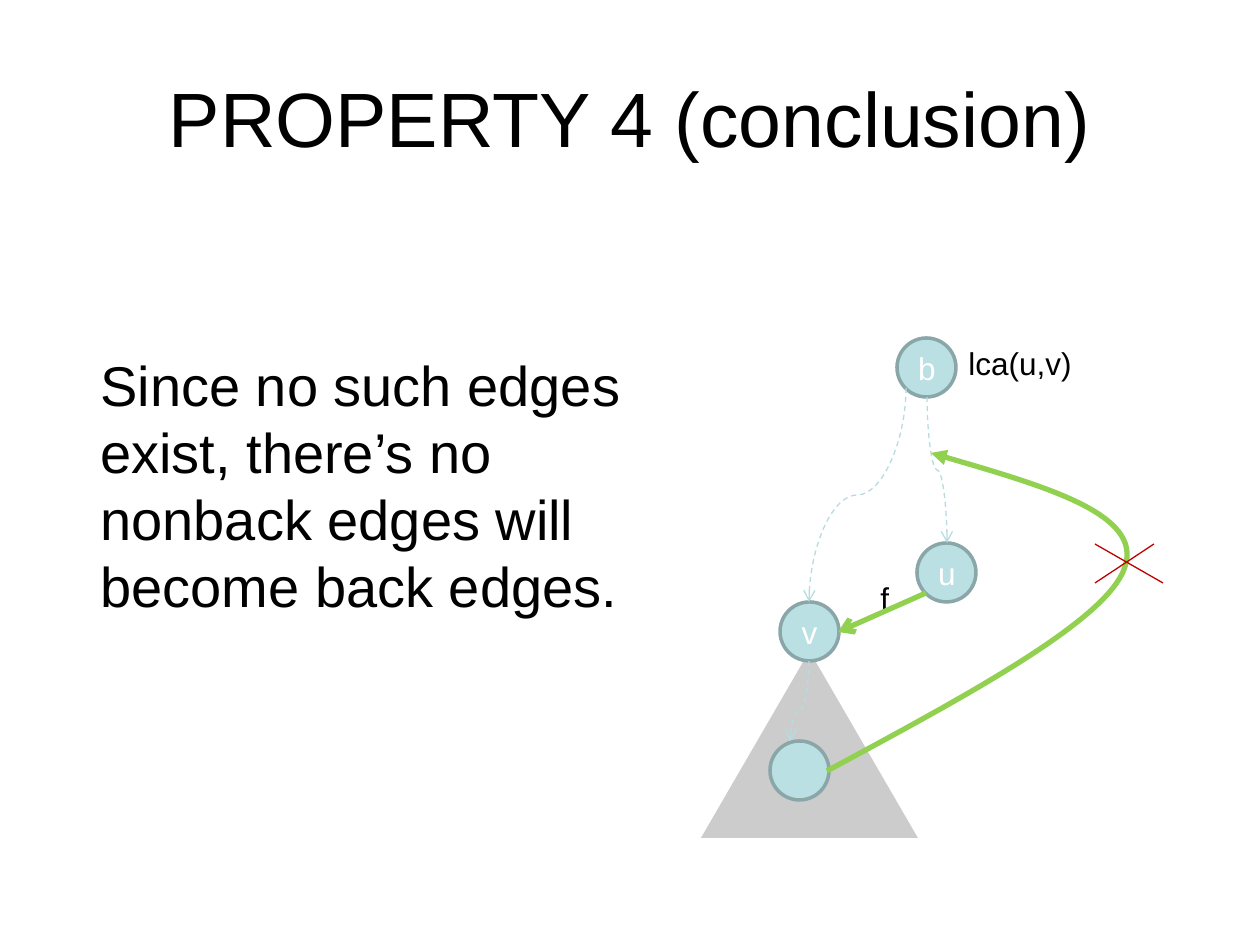
from lxml import etree
from pptx import Presentation
from pptx.dml.color import RGBColor
from pptx.enum.dml import MSO_LINE
from pptx.enum.shapes import MSO_CONNECTOR, MSO_SHAPE
from pptx.enum.text import MSO_ANCHOR, PP_ALIGN
from pptx.oxml.ns import qn
from pptx.util import Pt

PIXEL = 914400 // 126
STRAIGHT, CURVE = MSO_CONNECTOR.STRAIGHT, MSO_CONNECTOR.CURVE
TRIANGLE, OVAL = MSO_SHAPE.ISOSCELES_TRIANGLE, MSO_SHAPE.OVAL
DASH = MSO_LINE.DASH
MIDDLE = MSO_ANCHOR.MIDDLE
LEFT, CENTER = PP_ALIGN.LEFT, PP_ALIGN.CENTER
COLORS = {
    "text": "000000", "label": "FFFFFF", "subtree": "CCCCCC", "node": "BBE0E3",
    "outline": "8AA6A8", "path": "B6DCDF", "edge": "92D050", "cross": "C00000",
}


def write(shape, text, size, color="text", align=LEFT):
    """Put one run of Arial text into a shape."""
    shape.text_frame.word_wrap = True
    paragraph = shape.text_frame.paragraphs[0]
    paragraph.alignment = align
    run = paragraph.add_run()
    run.text = text
    run.font.name = "Arial"
    run.font.size = Pt(size)
    run.font.color.rgb = RGBColor.from_string(COLORS[color])


def style_line(shape, color, width, arrow=None):
    """Colour a line, drop its shadow and add an arrowhead at its end."""
    shape.line.color.rgb = RGBColor.from_string(COLORS[color])
    shape.line.width = Pt(width)
    properties = shape.line._get_or_add_ln().getparent()
    if properties.find(qn("a:effectLst")) is None:
        etree.SubElement(properties, qn("a:effectLst"))
    if arrow:
        etree.SubElement(shape.line._get_or_add_ln(), qn("a:tailEnd"), type=arrow)


presentation = Presentation()
presentation.slide_width = 1260 * PIXEL
presentation.slide_height = 945 * PIXEL
slide = presentation.slides.add_slide(presentation.slide_layouts[5])
shapes = slide.shapes

# Title and text
title = shapes.title
title.left, title.top, title.width, title.height = [
    value * PIXEL for value in (63, 38, 1134, 157)]
title.text_frame.vertical_anchor = MIDDLE
write(title, "PROPERTY 4 (conclusion)", 44, align=CENTER)

for text, size, *box in (
    ("Since no such edges exist, there’s no nonback edges will become back edges.",
     32, 88, 344, 640, 217),
    ("f", 18, 868, 573, 59, 50),
    ("lca(u,v)", 18, 956, 338, 158, 50),
):
    write(shapes.add_textbox(*[value * PIXEL for value in box]), text, size)

# Subtree below v
subtree = shapes.add_shape(TRIANGLE, *[value * PIXEL for value in (701, 651, 217, 187)])
subtree.shadow.inherit = False
subtree.fill.solid()
subtree.fill.fore_color.rgb = RGBColor.from_string(COLORS["subtree"])
subtree.line.fill.background()

# Nodes
NODE_SIZE = 59
for label, left, top in (("u", 917, 543), ("v", 780, 602), ("b", 897, 338), ("", 770, 741)):
    node = shapes.add_shape(
        OVAL, left * PIXEL, top * PIXEL, NODE_SIZE * PIXEL, NODE_SIZE * PIXEL)
    node.shadow.inherit = False
    node.fill.solid()
    node.fill.fore_color.rgb = RGBColor.from_string(COLORS["node"])
    style_line(node, "outline", 2)
    if label:
        node.text_frame.vertical_anchor = MIDDLE
        write(node, label, 18, "label", CENTER)

# Tree paths: horizontal curves turned upright about their centres
for x1, y1, x2, y2, bend in (
    (927, 397, 947, 543, 50000),
    (906, 388, 809, 602, 50000),
    (809, 661, 790, 741, 62200),
):
    middle_x, middle_y = (x1 + x2) / 2, (y1 + y2) / 2
    length, drift = y2 - y1, abs(x2 - x1)
    turn, side = (270, -1) if x2 > x1 else (90, 1)
    tree_path = shapes.add_connector(CURVE, *[int(value * PIXEL) for value in (
        middle_x - side * length / 2, middle_y - drift / 2,
        middle_x + side * length / 2, middle_y + drift / 2)])
    properties = tree_path._element.spPr
    properties.find(qn("a:xfrm")).set("rot", str(turn * 60000))
    guides = properties.find(qn("a:prstGeom")).find(qn("a:avLst"))
    etree.SubElement(guides, qn("a:gd"), name="adj1", fmla=f"val {bend}")
    tree_path.line.dash_style = DASH
    style_line(tree_path, "path", 0.75, "arrow")

# Edge f from u to v
edge = shapes.add_connector(STRAIGHT, *[value * PIXEL for value in (926, 593, 838, 632)])
style_line(edge, "edge", 3, "arrow")

# Impossible back edge: each three points make one Bezier segment
builder = shapes.build_freeform(827, 771, scale=PIXEL)
builder.add_line_segments(
    [(968, 695), (1108, 620), (1125, 567), (1143, 514), (1037, 484), (931, 453)], close=False)
back_edge = builder.convert_to_shape()
back_edge.shadow.inherit = False
back_edge.fill.background()
style_line(back_edge, "edge", 3, "triangle")
outline = next(back_edge._element.iter(qn("a:path")))
segments = outline.findall(qn("a:lnTo"))
for start in range(0, len(segments), 3):
    bezier = etree.SubElement(outline, qn("a:cubicBezTo"))
    for segment in segments[start:start + 3]:
        bezier.append(segment[0])
        outline.remove(segment)

# Cross over the back edge
cross = shapes.add_group_shape()
for ends in ((1095, 544, 1163, 583), (1154, 544, 1095, 583)):
    stroke = cross.shapes.add_connector(STRAIGHT, *[value * PIXEL for value in ends])
    style_line(stroke, "cross", 0.75)

presentation.save("out.pptx")
